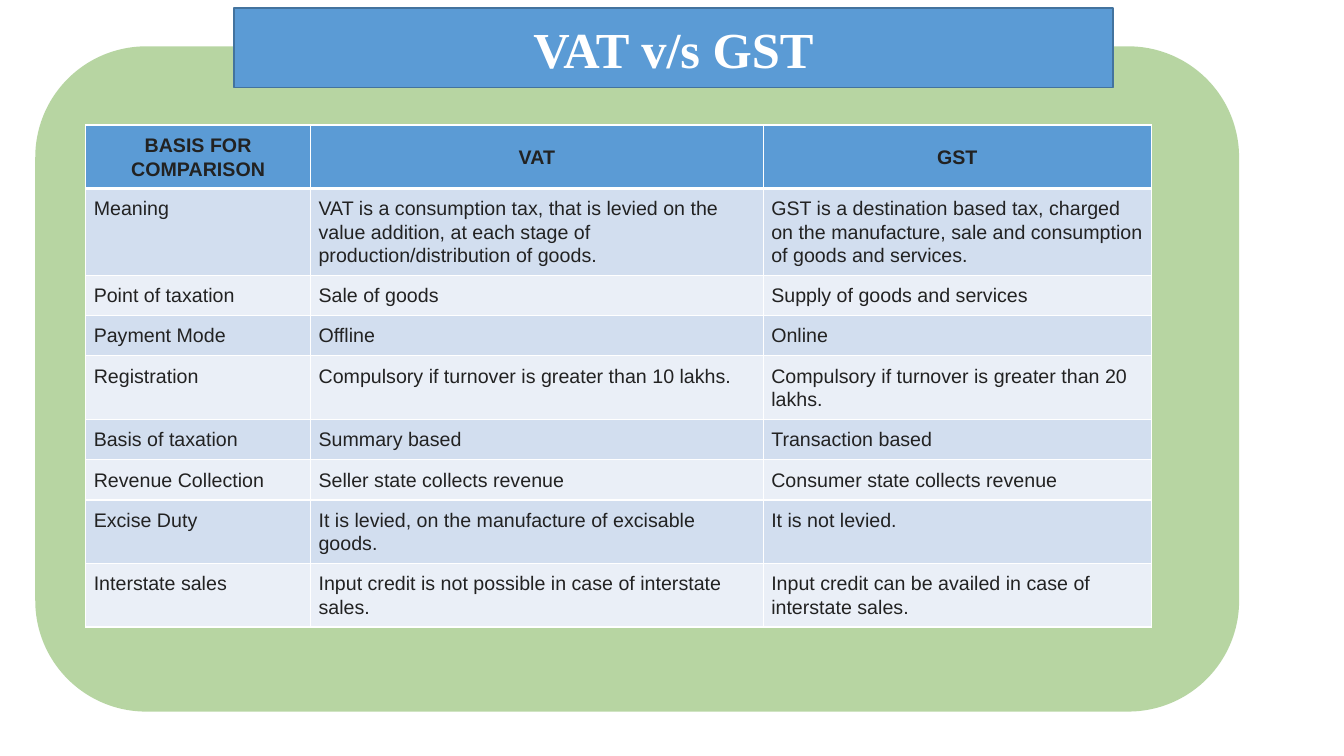
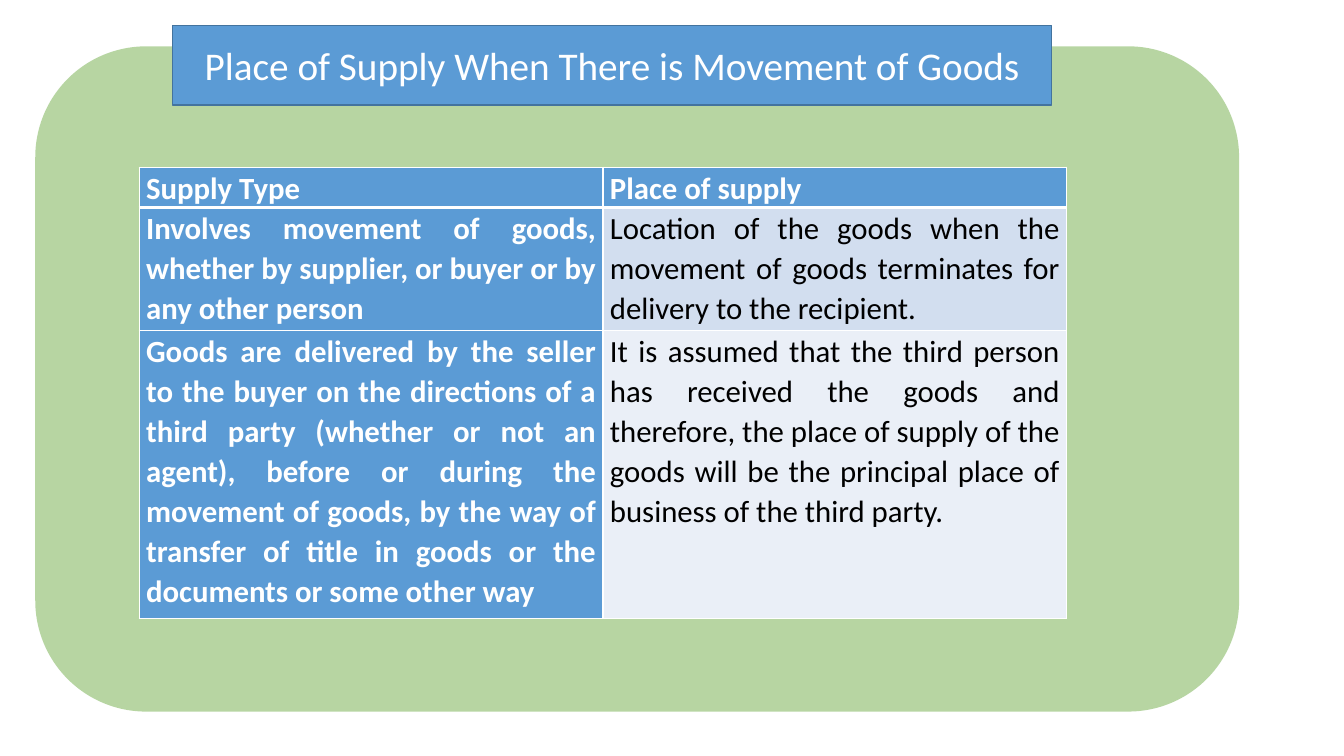
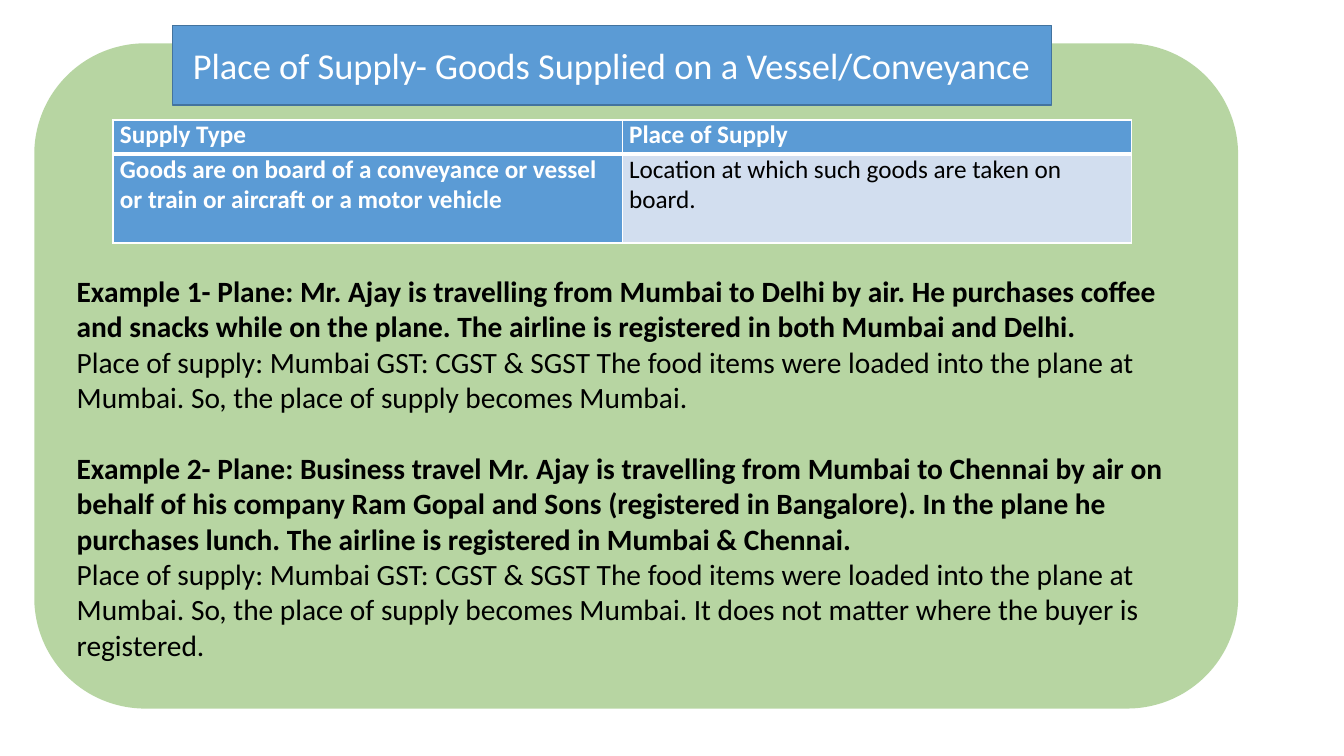
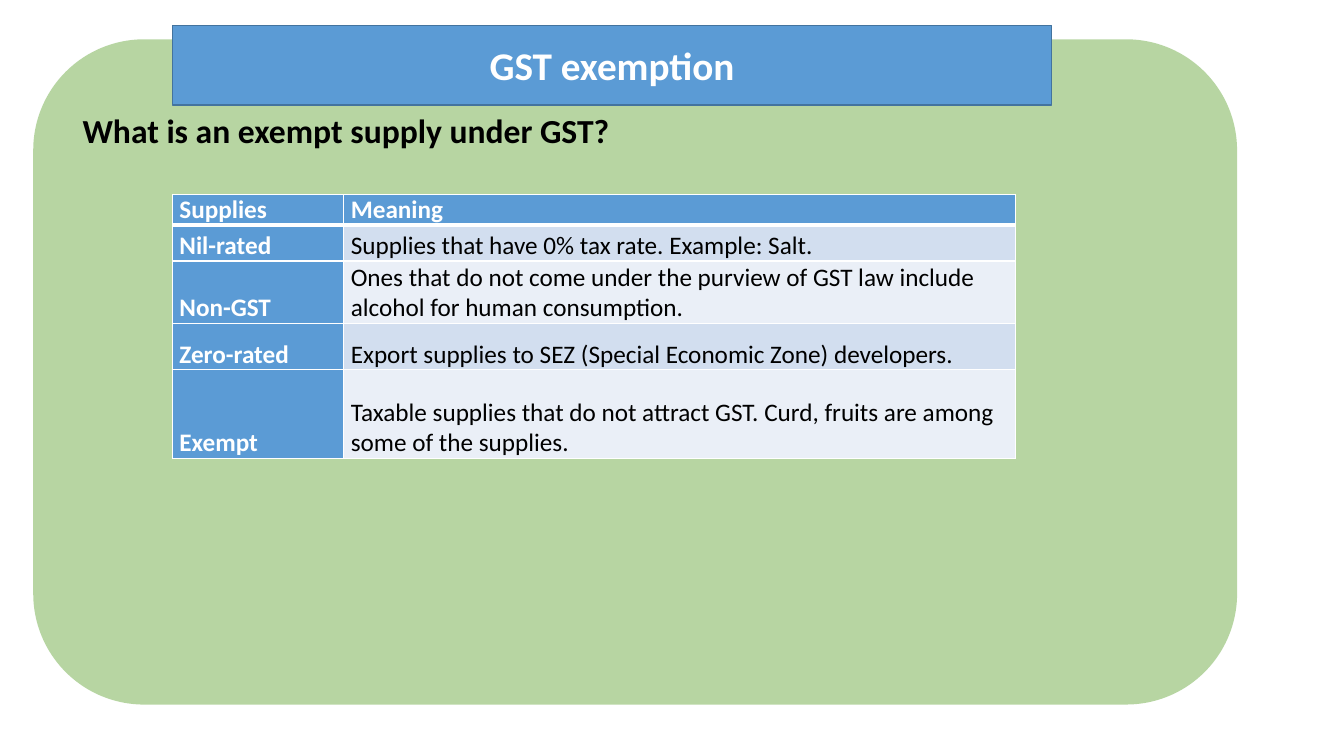
from lxml import etree
from pptx import Presentation
from pptx.dml.color import RGBColor
from pptx.enum.shapes import MSO_SHAPE
from pptx.enum.text import MSO_ANCHOR, MSO_AUTO_SIZE, PP_ALIGN
from pptx.oxml import parse_xml
from pptx.oxml.ns import nsdecls, qn
from pptx.util import Inches, Pt

LEFT, CENTER, JUSTIFY = PP_ALIGN.LEFT, PP_ALIGN.CENTER, PP_ALIGN.JUSTIFY
TOP, MIDDLE, BOTTOM = MSO_ANCHOR.TOP, MSO_ANCHOR.MIDDLE, MSO_ANCHOR.BOTTOM

BLUE, BLUE_EDGE, GREEN = "5B9BD5", "43739E", "70AD47"
BANDS = ("D2DEEF", "EAEFF7")
WHITE, BLACK, CHARCOAL = "FFFFFF", "000000", "222222"
TITLE_ONLY = 5

PAGES = [
    {
        "title": "VAT v/s GST",
        "title_at": (2.32, 0.08),
        "title_format": {"size": 36, "font": "Times New Roman", "bold": True},
        "panel_at": (0.35, 0.46),
        "table_at": (0.85, 1.24),
        "columns": (2.23, 4.49, 3.85),
        "heights": (0.63, 0.86, 0.4, 0.4, 0.63, 0.4, 0.4, 0.63, 0.63),
        "margins": (0.08, 0.08),
        "anchors": (MIDDLE, TOP),
        "aligns": (CENTER, LEFT),
        "colors": (CHARCOAL, CHARCOAL),
        "blue_first_column": False,
        "cell_format": {"size": 14, "font": "Arial", "spacing": 1.07},
        "rows": [
            ("BASIS FOR COMPARISON", "VAT", "GST"),
            ("Meaning",
             "VAT is a consumption tax, that is levied on the value addition, at each "
             "stage of production/distribution of goods.",
             "GST is a destination based tax, charged on the manufacture, sale and "
             "consumption of goods and services."),
            ("Point of taxation", "Sale of goods", "Supply of goods and services"),
            ("Payment Mode", "Offline", "Online"),
            ("Registration",
             "Compulsory if turnover is greater than 10 lakhs.",
             "Compulsory if turnover is greater than 20 lakhs."),
            ("Basis of taxation", "Summary based", "Transaction based"),
            ("Revenue Collection", "Seller state collects revenue",
             "Consumer state collects revenue"),
            ("Excise Duty", "It is levied, on the manufacture of excisable goods.",
             "It is not levied."),
            ("Interstate sales",
             "Input credit is not possible in case of interstate sales.",
             "Input credit can be availed in case of interstate sales."),
        ],
    },
    {
        "title": "Place of Supply When There is Movement of Goods",
        "title_at": (1.71, 0.25),
        "title_format": {"size": 28},
        "panel_at": (0.35, 0.46),
        "table_at": (1.38, 1.66),
        "columns": (4.6, 4.6),
        "heights": (0.39, 1.22, 2.86),
        "margins": (0.07, 0),
        "anchors": (TOP, TOP),
        "aligns": (JUSTIFY, JUSTIFY),
        "colors": (WHITE, BLACK),
        "blue_first_column": True,
        "cell_format": {"size": 22, "spacing": 1.07},
        "rows": [
            ("Supply Type", "Place of supply"),
            ("Involves movement of goods, whether by supplier, or buyer or by any "
             "other person",
             "Location of the goods when the movement of goods terminates for "
             "delivery to the recipient."),
            ("Goods are delivered by the seller to the buyer on the directions of a "
             "third party (whether or not an agent), before or during the movement of "
             "goods, by the way of transfer of title in goods or the documents or "
             "some other way",
             "It is assumed that the third person has received the goods and "
             "therefore, the place of supply of the goods will be the principal place "
             "of business of the third party."),
        ],
    },
    {
        "title": "Place of Supply- Goods Supplied on a Vessel/Conveyance",
        "title_at": (1.71, 0.25),
        "title_format": {"size": 26},
        "panel_at": (0.34, 0.43),
        "table_at": (1.12, 1.19),
        "columns": (5.05, 5.05),
        "heights": (0.34, 0.88),
        "margins": (0.07, 0),
        "anchors": (TOP, TOP),
        "aligns": (LEFT, LEFT),
        "colors": (WHITE, BLACK),
        "blue_first_column": True,
        "cell_format": {"size": 18},
        "rows": [
            ("Supply Type", "Place of Supply"),
            ("Goods are on board of a conveyance or vessel or train or aircraft or a "
             "motor vehicle",
             "Location at which such goods are taken on board."),
        ],
        "examples": [
            ("Example 1- Plane: Mr. Ajay is travelling from Mumbai to Delhi by air. He "
             "purchases coffee and snacks while on the plane. The airline is "
             "registered in both Mumbai and Delhi.",
             "Place of supply: Mumbai GST: CGST & SGST The food items were loaded into "
             "the plane at Mumbai. So, the place of supply becomes Mumbai."),
            ("Example 2- Plane: Business travel Mr. Ajay is travelling from Mumbai to "
             "Chennai by air on behalf of his company Ram Gopal and Sons (registered "
             "in Bangalore). In the plane he purchases lunch. The airline is "
             "registered in Mumbai & Chennai.",
             "Place of supply: Mumbai GST: CGST & SGST The food items were loaded into "
             "the plane at Mumbai. So, the place of supply becomes Mumbai. It does not "
             "matter where the buyer is registered."),
        ],
    },
    {
        "title": "GST exemption",
        "title_at": (1.71, 0.25),
        "title_format": {"size": 28, "bold": True},
        "panel_at": (0.33, 0.39),
        "table_at": (1.71, 1.93),
        "columns": (1.7, 6.66),
        "heights": (0.29, 0.36, 0.62, 0.46, 0.88),
        "margins": (0.07, 0),
        "anchors": (BOTTOM, BOTTOM),
        "aligns": (LEFT, LEFT),
        "colors": (WHITE, BLACK),
        "blue_first_column": True,
        "cell_format": {"size": 18},
        "rows": [
            ("Supplies", "Meaning"),
            ("Nil-rated", "Supplies that have 0% tax rate. Example: Salt."),
            ("Non-GST",
             "Ones that do not come under the purview of GST law include alcohol for "
             "human consumption."),
            ("Zero-rated", "Export supplies to SEZ (Special Economic Zone) developers."),
            ("Exempt",
             "Taxable supplies that do not attract GST. Curd, fruits are among some of "
             "the supplies."),
        ],
        "question": "What is an exempt supply under GST?",
    },
]


def rgb(code):
    return RGBColor.from_string(code)


def write(frame, text, size=18, font="Calibri", color=BLACK, bold=False,
          align=LEFT, spacing=1.0, before=0):
    """Add a paragraph to the frame, filling the first one while it is empty."""
    para = frame.paragraphs[0]
    if para.runs:
        para = frame.add_paragraph()
    para.alignment = align
    para.line_spacing = spacing
    para.space_before = Pt(before)
    span = para.add_run()
    span.text = text
    span.font.size = Pt(size)
    span.font.name = font
    span.font.bold = bold
    span.font.color.rgb = rgb(color)


deck = Presentation()
deck.slide_width, deck.slide_height = Inches(13.33), Inches(7.5)

for page in PAGES:
    slide = deck.slides.add_slide(deck.slide_layouts[TITLE_ONLY])
    title = slide.shapes.title

    # Half-transparent green panel
    left, top = page["panel_at"]
    panel = slide.shapes.add_shape(MSO_SHAPE.ROUNDED_RECTANGLE, Inches(left),
                                   Inches(top), Inches(11.94), Inches(6.6))
    panel.shadow.inherit = False
    panel.fill.solid()
    panel.fill.fore_color.rgb = rgb(GREEN)
    panel.line.fill.background()
    tint = panel.element.spPr.find(qn("a:solidFill"))[0]
    etree.SubElement(tint, qn("a:alpha"), val="50000")

    # Title as a rounded band in front of the panel
    panel.element.addnext(title.element)
    left, top = page["title_at"]
    title.left, title.top = Inches(left), Inches(top)
    title.width, title.height = Inches(8.72), Inches(0.79)
    title.element.spPr.insert(1, parse_xml(
        f'<a:prstGeom {nsdecls("a")} prst="roundRect"><a:avLst/></a:prstGeom>'))
    title.fill.solid()
    title.fill.fore_color.rgb = rgb(BLUE)
    title.line.color.rgb = rgb(BLUE_EDGE)
    title.line.width = Pt(1)
    title.text_frame.word_wrap = True
    title.text_frame.auto_size = MSO_AUTO_SIZE.NONE
    title.text_frame.vertical_anchor = MIDDLE
    write(title.text_frame, page["title"], color=WHITE, align=CENTER,
          **page["title_format"])

    if "examples" in page:
        frame = panel.text_frame
        frame.word_wrap = True
        frame.vertical_anchor = TOP
        frame.margin_top = Inches(1.96)
        for number, (case, answer) in enumerate(page["examples"]):
            write(frame, case, size=21, bold=True, before=25.6 if number else 0)
            write(frame, answer, size=21)

    if "question" in page:
        box = slide.shapes.add_textbox(Inches(0.72), Inches(1.04),
                                       Inches(10.71), Inches(0.5))
        box.text_frame.word_wrap = True
        write(box.text_frame, page["question"], size=24, bold=True)

    # Comparison table
    left, top = page["table_at"]
    columns, heights = page["columns"], page["heights"]
    table = slide.shapes.add_table(
        len(heights), len(columns), Inches(left), Inches(top),
        Inches(sum(columns)), Inches(sum(heights))).table
    for column, width in zip(table.columns, columns):
        column.width = Inches(width)
    for row, height in zip(table.rows, heights):
        row.height = Inches(height)

    side, edge = page["margins"]
    for row_index, texts in enumerate(page["rows"]):
        body = int(row_index > 0)
        for column_index, text in enumerate(texts):
            cell = table.cell(row_index, column_index)
            accent = not body or (page["blue_first_column"] and column_index == 0)
            cell.margin_left = cell.margin_right = Inches(side)
            cell.margin_top = cell.margin_bottom = Inches(edge)
            cell.vertical_anchor = page["anchors"][body]
            write(cell.text_frame, text, bold=accent, align=page["aligns"][body],
                  color=page["colors"][0 if accent else 1], **page["cell_format"])

            borders = {"lnL": 1, "lnR": 1, "lnT": 3 if row_index == 1 else 1,
                       "lnB": 1 if body else 3}
            for name, points in borders.items():
                cell._tc.get_or_add_tcPr().append(parse_xml(
                    f'<a:{name} {nsdecls("a")} w="{Pt(points)}"><a:solidFill>'
                    f'<a:srgbClr val="{WHITE}"/></a:solidFill></a:{name}>'))
            cell.fill.solid()
            cell.fill.fore_color.rgb = rgb(BLUE if accent else BANDS[(row_index - 1) % 2])

deck.save("out.pptx")
